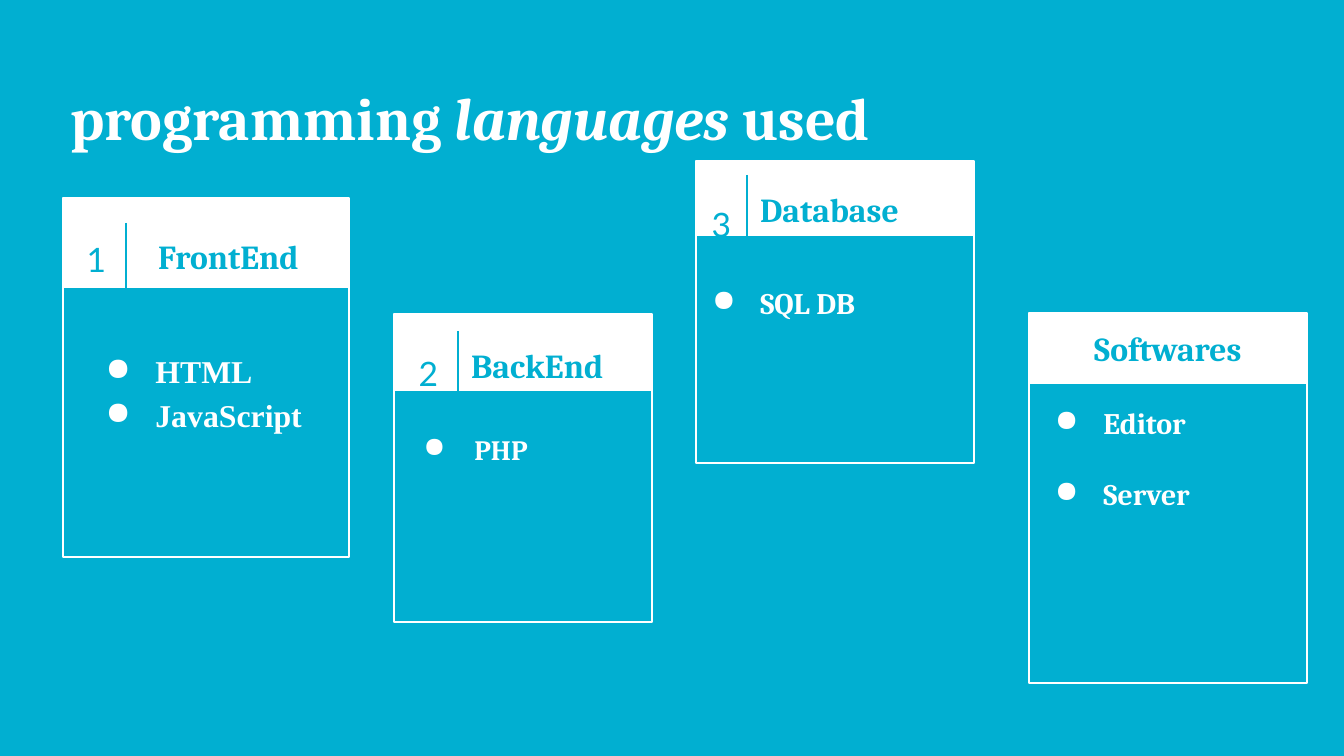
from lxml.etree import SubElement
from pptx import Presentation
from pptx.dml.color import RGBColor
from pptx.enum.shapes import MSO_CONNECTOR, MSO_SHAPE
from pptx.enum.text import MSO_ANCHOR as Anchor, PP_ALIGN as Align
from pptx.oxml.ns import qn
from pptx.util import Inches, Pt

CYAN = RGBColor(0x01, 0xAF, 0xD1)
WHITE = RGBColor(0xFF, 0xFF, 0xFF)
PX = 9144000 / 1344
SERIF = "Cambria"

TITLE = [("programming ", False), ("languages ", True), ("used", False)]

# Boxes are (left, top, width, height) in px; a divider is (x, top).
NUMBERED_CARDS = [
    dict(number="1", label="FrontEnd", items=["HTML", "JavaScript"],
         frame=(63, 198, 286, 359), header=90, number_at=(71, 196),
         label_at=(145, 196), divider=(126, 223),
         items_box=(75, 333, 372, 349), font="Times New Roman", size=17, hang=0.37),
    dict(number="2", label="BackEnd", items=["PHP"],
         frame=(394, 314, 258, 308), header=77, number_at=(403, 310),
         label_at=(458, 305), divider=(458, 331),
         items_box=(394, 414, 188, 349), font=SERIF, size=15, hang=0.38),
    dict(number="3", label="Database", items=["SQL DB"],
         frame=(696, 161, 278, 302), header=75, number_at=(696, 161),
         label_at=(747, 149), divider=(747, 175),
         items_box=(680, 266, 235, 349), font=SERIF, size=16, hang=0.36),
]
SOFTWARE = dict(label="Softwares", items=["Editor", "Server"],
                header=(1029, 313, 278, 70), body=(1029, 383, 278, 300),
                items_box=(1023, 391, 258, 136))
NUMBER_SIZE = (51, 121)
LABEL_SIZE = (309, 121)
DIVIDER_HEIGHT = 70


def emu(*lengths):
    return [round(length * PX) for length in lengths]


def style(run, size, color, font=SERIF, bold=True):
    run.font.size = Pt(size)
    run.font.name = font
    run.font.bold = bold
    run.font.color.rgb = color


def add_rect(slide, box, fill=None, outlined=True):
    rect = slide.shapes.add_shape(MSO_SHAPE.RECTANGLE, *emu(*box))
    rect.shadow.inherit = False
    if fill is None:
        rect.fill.background()
    else:
        rect.fill.solid()
        rect.fill.fore_color.rgb = fill
    if outlined:
        rect.line.color.rgb = WHITE
        rect.line.width = Pt(0.75)
    else:
        rect.line.fill.background()


def add_frame(slide, box, anchor=Anchor.TOP):
    """Add an empty wrapping text box with 0.1 inch insets."""
    frame = slide.shapes.add_textbox(*emu(*box)).text_frame
    frame.word_wrap = True
    frame.vertical_anchor = anchor
    frame.margin_left = frame.margin_right = Inches(0.1)
    frame.margin_top = frame.margin_bottom = Inches(0.1)
    return frame


def add_heading(slide, text, box, align=Align.LEFT, font=SERIF, bold=True, spacing=1.0):
    paragraph = add_frame(slide, box, Anchor.MIDDLE).paragraphs[0]
    paragraph.text = text
    paragraph.alignment = align
    paragraph.line_spacing = spacing
    style(paragraph.runs[0], 18, CYAN, font, bold)


def add_bullets(slide, items, box, size, font=SERIF, hang=0.36, spacing=1.15, gap=0):
    """Add a bulleted list; hang is the bullet's offset in inches, gap is in points."""
    frame = add_frame(slide, box)
    frame.text = "\n".join(items)
    for index, paragraph in enumerate(frame.paragraphs):
        paragraph.line_spacing = spacing
        paragraph.space_before = Pt(gap if index else 0)
        style(paragraph.runs[0], size, WHITE, font)
        props = paragraph._p.get_or_add_pPr()
        props.set("marL", str(Inches(0.5)))
        props.set("indent", str(-Inches(hang)))
        bullet_color = SubElement(props, qn("a:buClr"))
        SubElement(bullet_color, qn("a:srgbClr"), val=str(WHITE))
        SubElement(props, qn("a:buChar"), char="●")


def add_divider(slide, x, top):
    divider = slide.shapes.add_connector(
        MSO_CONNECTOR.STRAIGHT, *emu(x, top, x, top + DIVIDER_HEIGHT))
    divider.line.color.rgb = CYAN
    divider.line.width = Pt(0.75)
    SubElement(divider._element.spPr, qn("a:effectLst"))


def add_numbered_card(slide, card):
    left, top, width, _ = card["frame"]
    add_rect(slide, card["frame"])
    add_rect(slide, (left, top, width, card["header"]), WHITE, outlined=False)
    add_heading(slide, card["number"], card["number_at"] + NUMBER_SIZE,
                Align.CENTER, "Lato", False, 1.15)
    add_heading(slide, card["label"], card["label_at"] + LABEL_SIZE)
    add_bullets(slide, card["items"], card["items_box"],
                card["size"], card["font"], card["hang"])
    add_divider(slide, *card["divider"])


def main():
    deck = Presentation()
    deck.slide_width, deck.slide_height = emu(1344, 756)
    slide = deck.slides.add_slide(deck.slide_layouts[6])
    slide.background.fill.solid()
    slide.background.fill.fore_color.rgb = CYAN

    title = add_frame(slide, (57, 67, 1230, 101)).paragraphs[0]
    for text, italic in TITLE:
        run = title.add_run()
        run.text = text
        style(run, 32, WHITE)
        run.font.italic = italic

    for card in NUMBERED_CARDS:
        add_numbered_card(slide, card)

    add_rect(slide, SOFTWARE["body"])
    add_rect(slide, SOFTWARE["header"], WHITE)
    add_heading(slide, SOFTWARE["label"], SOFTWARE["header"], Align.CENTER)
    add_bullets(slide, SOFTWARE["items"], SOFTWARE["items_box"], 16, spacing=1.0, gap=19)

    deck.save("out.pptx")


if __name__ == "__main__":
    main()
